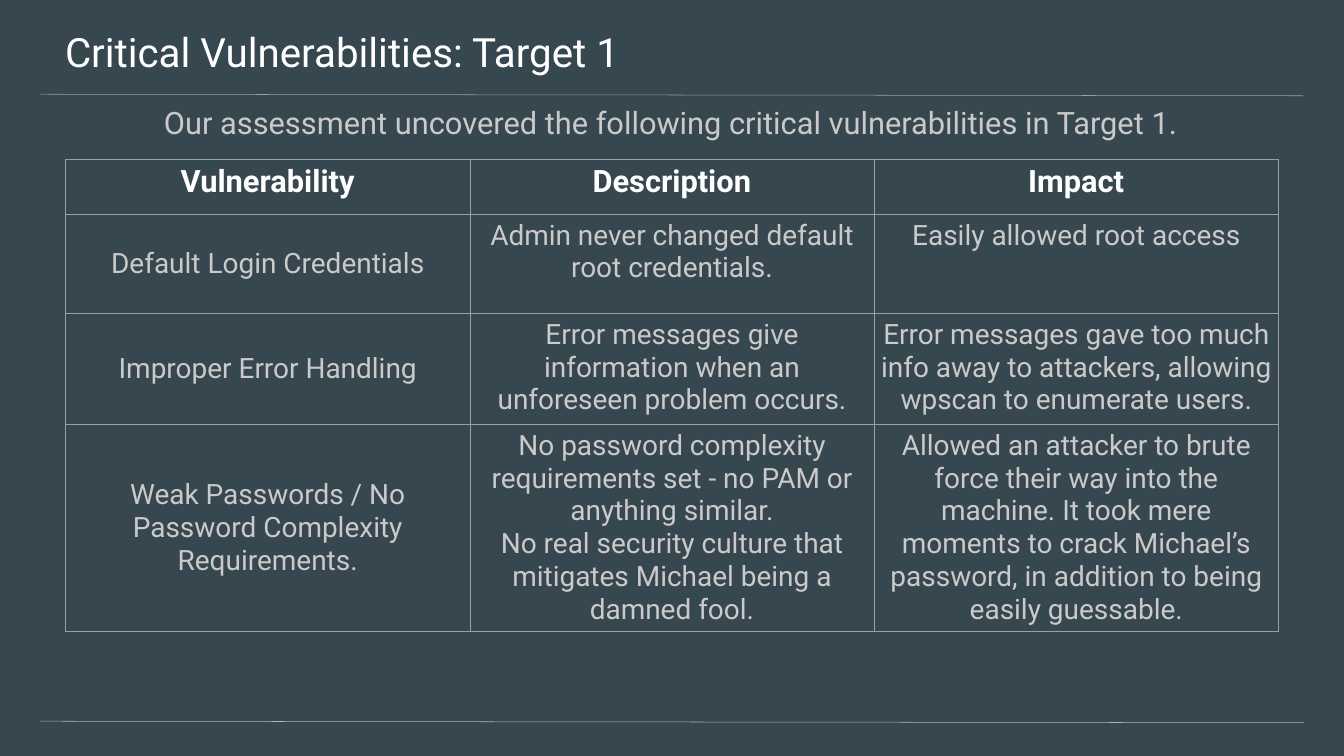
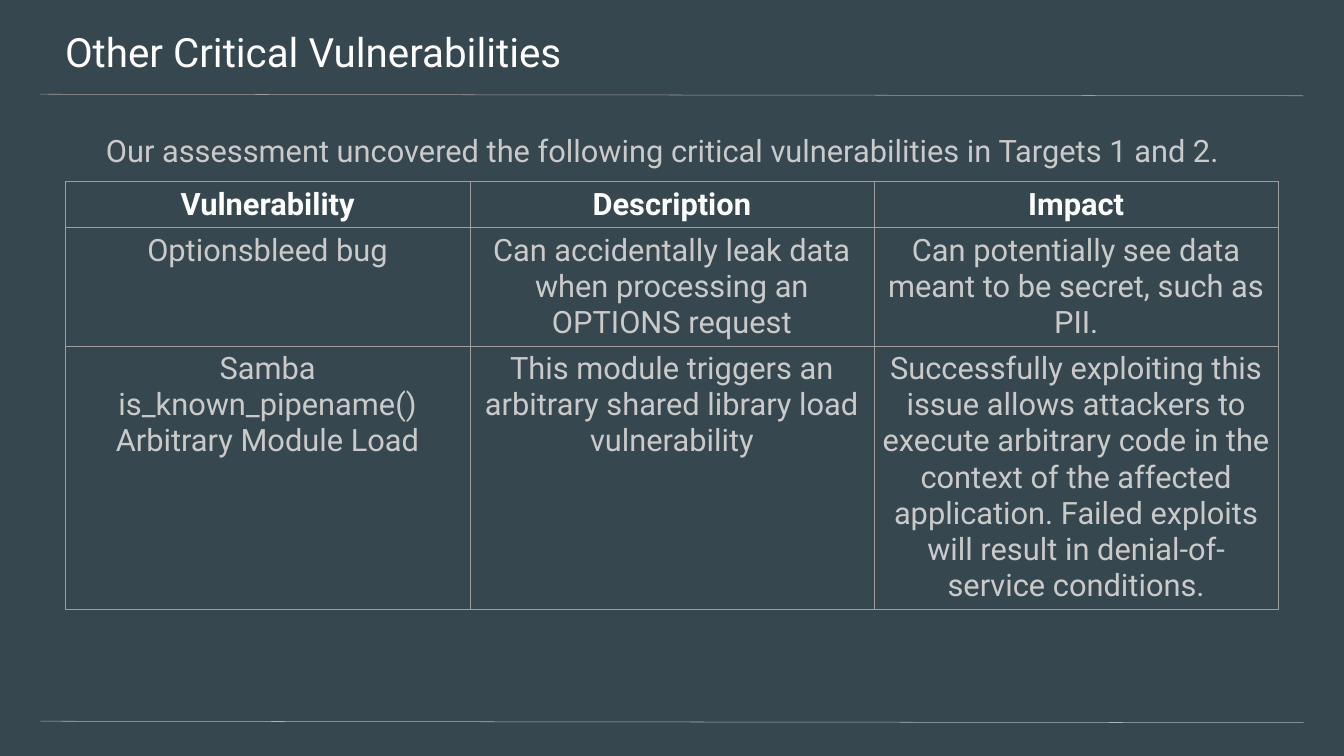
from lxml import etree
from pptx import Presentation
from pptx.dml.color import RGBColor
from pptx.enum.shapes import MSO_CONNECTOR as Link
from pptx.enum.text import MSO_ANCHOR as Anchor, MSO_AUTO_SIZE as Auto, PP_ALIGN as Align
from pptx.oxml.ns import qn
from pptx.util import Inches, Pt

SLATE = RGBColor(0x37, 0x47, 0x4F)
WHITE = RGBColor(0xFF, 0xFF, 0xFF)
SILVER = RGBColor(0xCA, 0xCA, 0xCA)
GREY = RGBColor(0x9E, 0x9E, 0x9E)
STEEL = RGBColor(0xA9, 0xB7, 0xC0)

BASE = {"name": "Roboto", "bold": False}
TITLE = {**BASE, "size": Pt(57.6), "color": WHITE}
INTRO = {**BASE, "size": Pt(44), "color": SILVER}
HEAD = {**INTRO, "bold": True, "color": WHITE}
RULES = [(1.87, 1.9, GREY), (14.31, 14.34, STEEL)]
HEADER = ["Vulnerability", "Description", "Impact"]

PAGES = [
    {
        "title": "Critical Vulnerabilities: Target 1",
        "intro": "Our assessment uncovered the following critical vulnerabilities in Target 1.",
        "box": (2.06, 9.96), "align": Align.CENTER, "space": 1.0,
        "top": 3.15, "rows": [1.1, 1.97, 2.2, 4.1],
        "size": Pt(40), "anchor": Anchor.MIDDLE,
        "cells": [
            ["Default Login Credentials",
             "Admin never changed default root credentials.",
             "Easily allowed root access"],
            ["Improper Error Handling",
             "Error messages give information when an unforeseen problem occurs.",
             "Error messages gave too much info away to attackers, "
             "allowing wpscan to enumerate users."],
            ["Weak Passwords / No Password Complexity Requirements.",
             "No password complexity requirements set - no PAM or anything similar.\n"
             "No real security culture that mitigates Michael being a damned fool.",
             "Allowed an attacker to brute force their way into the machine. It took mere "
             "moments to crack Michael’s password, in addition to being easily guessable."],
        ],
    },
    {
        "title": "Other Critical Vulnerabilities",
        "intro": "Our assessment uncovered the following critical vulnerabilities in Targets 1 and 2.",
        "box": (2.51, 10.79), "align": Align.LEFT, "space": 1.15,
        "top": 3.6, "rows": [0.9, 2.35, 5.18],
        "size": Pt(44), "anchor": Anchor.TOP,
        "cells": [
            ["Optionsbleed bug",
             "Can accidentally leak data when processing an OPTIONS request",
             "Can potentially see data meant to be secret, such as PII."],
            ["Samba is_known_pipename() Arbitrary Module Load",
             "This module triggers an arbitrary shared library load vulnerability",
             "Successfully exploiting this issue allows attackers to execute arbitrary code "
             "in the context of the affected application. Failed exploits will result in "
             "denial-of-service conditions."],
        ],
    },
]


def write(frame, text, look, align, space=1.0):
    frame.text = text
    for para in frame.paragraphs:
        para.alignment = align
        para.line_spacing = space
        for key, value in look.items():
            if key == "color":
                para.font.color.rgb = value
            else:
                setattr(para.font, key, value)


def inset(item, left, top, right, bottom):
    sides = {"left": left, "top": top, "right": right, "bottom": bottom}
    for side, value in sides.items():
        setattr(item, f"margin_{side}", Inches(value))


prs = Presentation()
prs.slide_width, prs.slide_height = Inches(26.66), Inches(15)
back = prs.slide_master.background.fill
back.solid()
back.fore_color.rgb = SLATE

for page in PAGES:
    slide = prs.slides.add_slide(prs.slide_layouts[5])

    for start, end, color in RULES:
        rule = slide.shapes.add_connector(
            Link.STRAIGHT, Inches(0.8), Inches(start), Inches(25.86), Inches(end))
        rule.line.color.rgb = color
        rule.line.width = Pt(0.75)
        etree.SubElement(rule._element.spPr, qn("a:effectLst"))

    title = slide.shapes.title
    title.left, title.top = Inches(-0.04), Inches(0)
    title.width, title.height = Inches(26.73), Inches(1.56)
    top, height = page["box"]
    intro = slide.shapes.add_textbox(
        Inches(0.77), Inches(top), Inches(25.09), Inches(height))
    for shape in (title, intro):
        frame = shape.text_frame
        frame.word_wrap = True
        frame.auto_size = Auto.NONE
        frame.vertical_anchor = Anchor.TOP
    inset(title.text_frame, 1.33, 0.53, 0.8, 0.27)
    inset(intro.text_frame, 1.33, 0, 1.33, 2.67)
    write(title.text_frame, page["title"], TITLE, Align.LEFT)
    write(intro.text_frame, page["intro"], INTRO, page["align"], page["space"])

    rows = page["rows"]
    table = slide.shapes.add_table(
        len(rows), 3, Inches(1.3), Inches(page["top"]),
        Inches(3 * 8.02), Inches(sum(rows))).table
    table.first_row = table.horz_banding = False
    for col in table.columns:
        col.width = Inches(8.02)
    for row, height in zip(table.rows, rows):
        row.height = Inches(height)

    body = {**INTRO, "size": page["size"]}
    for r, texts in enumerate([HEADER] + page["cells"]):
        for c, text in enumerate(texts):
            cell = table.cell(r, c)
            inset(cell, 0.1, 0.1, 0.1, 0.1)
            cell.vertical_anchor = page["anchor"] if r and c == 0 else Anchor.TOP
            write(cell.text_frame, text, body if r else HEAD, Align.CENTER)
            props = cell._tc.get_or_add_tcPr()
            for side in "LRTB":
                edge = etree.SubElement(props, qn(f"a:ln{side}"), w=str(Pt(0.75)))
                fill = etree.SubElement(edge, qn("a:solidFill"))
                etree.SubElement(fill, qn("a:srgbClr"), val=str(GREY))
            cell.fill.background()

prs.save("out.pptx")
